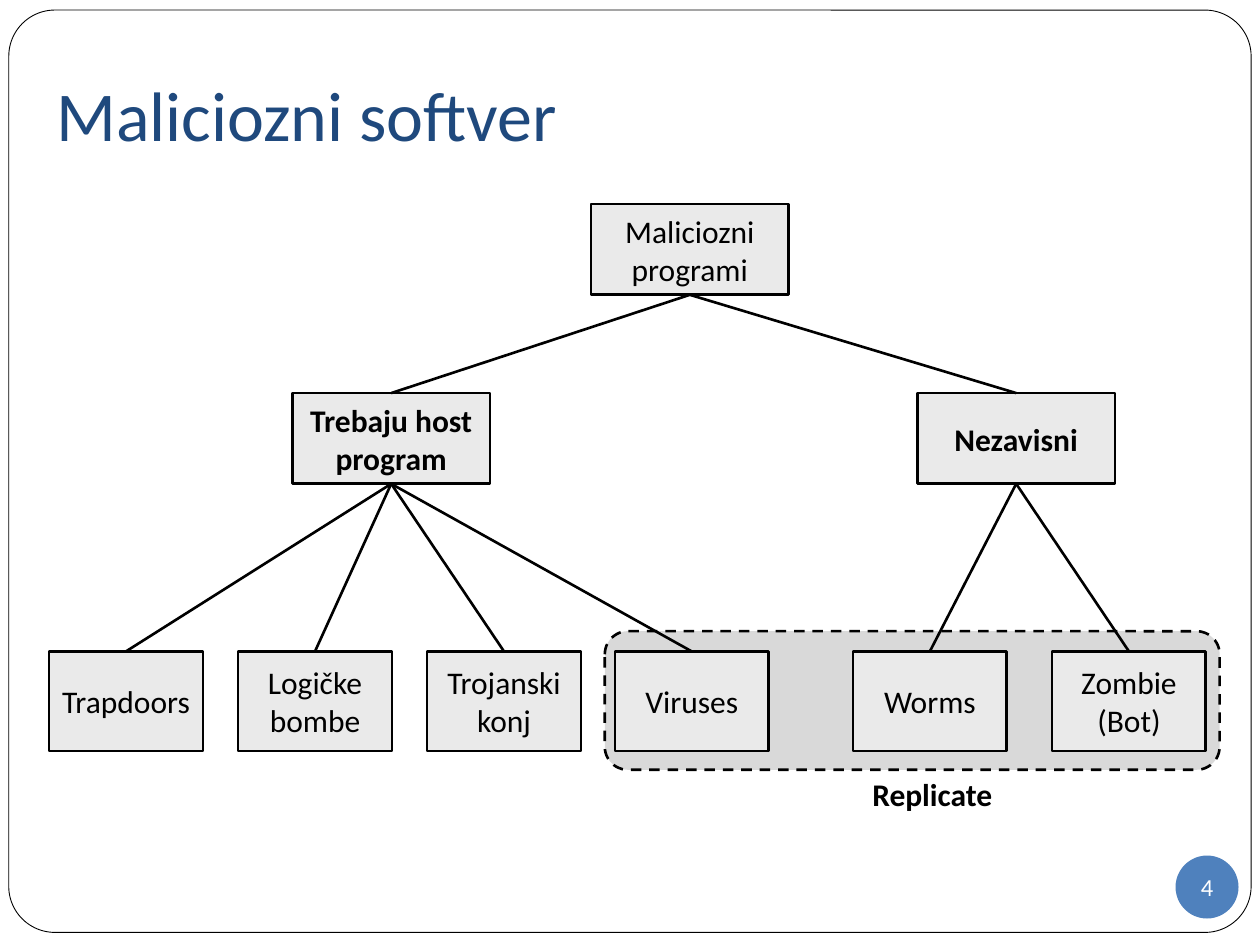
import pptx
import pptx.util
import pptx.dml.color
import pptx.enum.dml
import pptx.enum.shapes
import pptx.enum.text
import pptx.oxml.ns
import lxml.etree
from dataclasses import dataclass

Inches = pptx.util.Inches
Pt = pptx.util.Pt
SHAPES = pptx.enum.shapes.MSO_SHAPE
ALIGN = pptx.enum.text.PP_ALIGN
ANCHOR = pptx.enum.text.MSO_ANCHOR
BOTTOM_SITE, TOP_SITE = 2, 0


@dataclass(frozen=True)
class Theme:
    font: str = "Calibri"
    paper: str = "FFFFFF"
    ink: str = "000000"
    heading: str = "1F497D"
    badge: str = "4F81BD"
    node: str = "EAEAEA"
    group: str = "D9D9D9"
    heading_size: float = 40
    body_size: float = 18
    number_size: float = 14
    frame_line: float = 0.5
    line: float = 1.5


class TreeSlide:
    def __init__(self, slide, theme):
        self.slide = slide
        self.theme = theme

    def color(self, value):
        return pptx.dml.color.RGBColor.from_string(value)

    def shape(self, kind, left, top, width, height, fill, line=None):
        shape = self.slide.shapes.add_shape(
            kind, Inches(left), Inches(top), Inches(width), Inches(height))
        shape.shadow.inherit = False
        shape.fill.solid()
        shape.fill.fore_color.rgb = self.color(fill)
        if line is None:
            shape.line.fill.background()
        else:
            shape.line.color.rgb = self.color(self.theme.ink)
            shape.line.width = Pt(line)
        return shape

    def label(self, shape, text, size, color, bold=False, align=ALIGN.CENTER,
              insets=(0.05, 0.05, 0.05, 0.05), wrap=True):
        frame = shape.text_frame
        frame.word_wrap = wrap
        frame.vertical_anchor = ANCHOR.MIDDLE
        (frame.margin_left, frame.margin_top,
         frame.margin_right, frame.margin_bottom) = map(Inches, insets)
        para = frame.paragraphs[0]
        para.text = text
        para.alignment = align
        para.font.name = self.theme.font
        para.font.size = Pt(size)
        para.font.bold = bold
        para.font.color.rgb = self.color(color)

    def text(self, left, top, width, height, text, size, color, **style):
        box = self.slide.shapes.add_textbox(
            Inches(left), Inches(top), Inches(width), Inches(height))
        self.label(box, text, size, color, **style)

    def node(self, left, top, width, height, text, bold=False):
        box = self.shape(SHAPES.RECTANGLE, left, top, width, height,
                         self.theme.node, self.theme.line)
        self.label(box, text, self.theme.body_size, self.theme.ink, bold)
        return box

    def branch(self, parent, child):
        line = self.slide.shapes.add_connector(
            pptx.enum.shapes.MSO_CONNECTOR.STRAIGHT, 0, 0, 0, 0)
        line.begin_connect(parent, BOTTOM_SITE)
        line.end_connect(child, TOP_SITE)
        line.line.color.rgb = self.color(self.theme.ink)
        line.line.width = Pt(self.theme.line)
        properties = line._element.spPr
        lxml.etree.SubElement(properties, pptx.oxml.ns.qn("a:effectLst"))


def main():
    theme = Theme()
    deck = pptx.Presentation()
    deck.slide_width, deck.slide_height = Inches(10), Inches(7.5)
    page = TreeSlide(deck.slides.add_slide(deck.slide_layouts[6]), theme)

    border = page.shape(SHAPES.ROUNDED_RECTANGLE, 0.07, 0.08, 9.86, 7.32,
                        theme.paper, theme.frame_line)
    border.adjustments[0] = 0.05
    replicating = page.shape(SHAPES.ROUNDED_RECTANGLE, 4.8, 5.01, 4.88, 1.1,
                             theme.group, theme.line)
    replicating.line.dash_style = pptx.enum.dml.MSO_LINE.DASH

    page.text(0.35, 0.3, 9.37, 1.25, "Maliciozni softver",
              theme.heading_size, theme.heading, align=ALIGN.LEFT,
              insets=(0.1, 0.05, 0.1, 0.1))
    badge = page.shape(SHAPES.OVAL, 9.33, 6.79, 0.5, 0.5, theme.badge)
    page.label(badge, "4", theme.number_size, theme.paper,
               insets=(0, 0, 0, 0), wrap=False)

    root = page.node(4.69, 1.62, 1.57, 0.72, "Maliciozni programi")
    families = [
        (2.32, "Trebaju host program",
         [(0.39, "Trapdoors"), (1.89, "Logičke bombe"),
          (3.39, "Trojanski konj"), (4.88, "Viruses")]),
        (7.28, "Nezavisni", [(6.77, "Worms"), (8.35, "Zombie (Bot)")]),
    ]
    for left, name, members in families:
        family = page.node(left, 3.12, 1.57, 0.72, name, bold=True)
        page.branch(root, family)
        for member_left, member_name in members:
            member = page.node(member_left, 5.17, 1.22, 0.79, member_name)
            page.branch(family, member)

    page.text(6.82, 6.1, 1.16, 0.4, "Replicate", theme.body_size, theme.ink,
              bold=True, wrap=False)
    deck.save("out.pptx")


if __name__ == "__main__":
    main()
